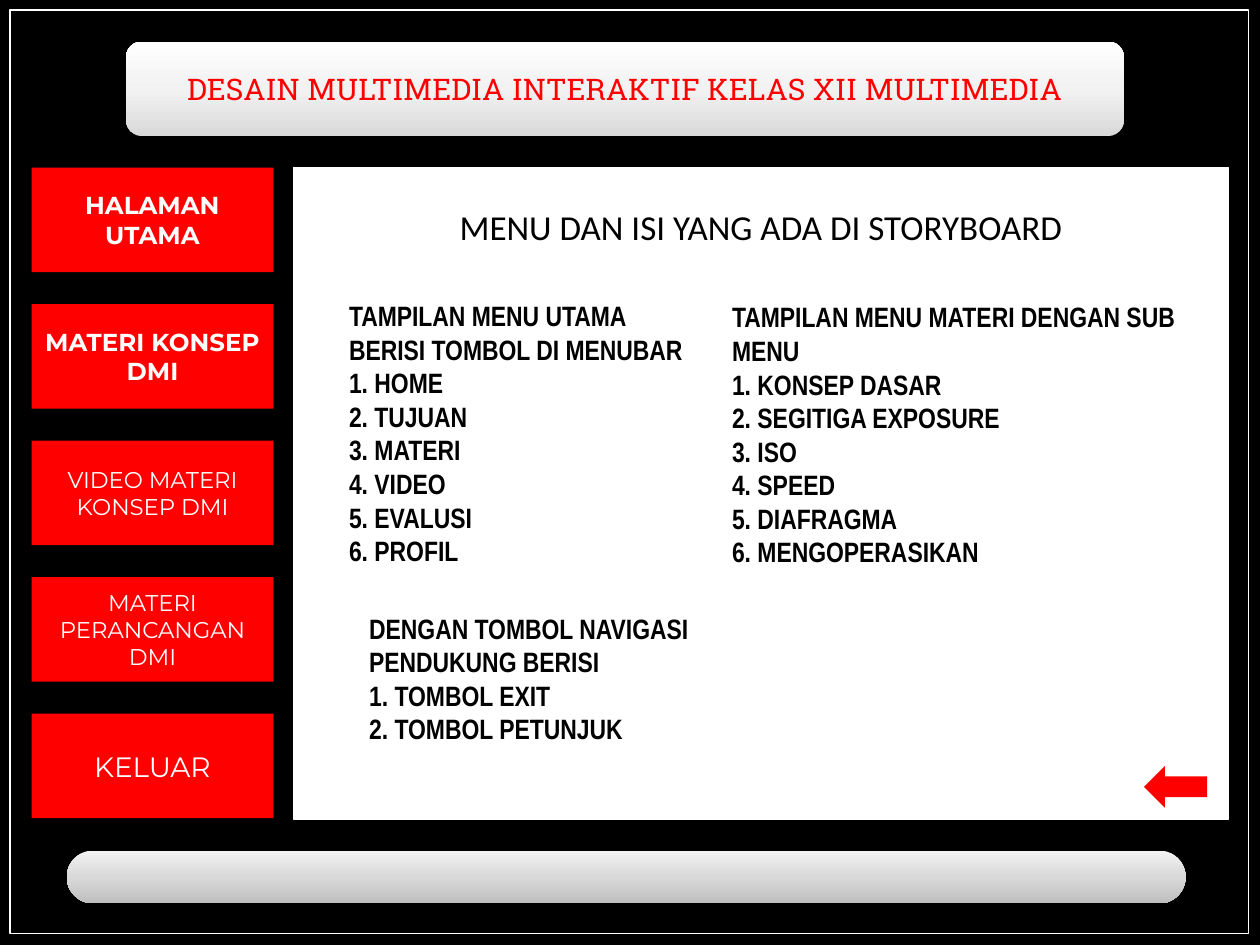
from copy import deepcopy
from pptx import Presentation
from pptx.dml.color import RGBColor
from pptx.enum import shapes, text
from pptx.util import Inches, Pt

# Content
HEAD = "DESAIN MULTIMEDIA INTERAKTIF KELAS XII MULTIMEDIA"
TITLE = "MENU DAN ISI YANG ADA DI STORYBOARD"
MENU = [  # lines, size, bold
    (["HALAMAN", "UTAMA"], 14, True),
    (["MATERI KONSEP DMI"], 14, True),
    (["VIDEO MATERI KONSEP DMI"], 13, False),
    (["MATERI PERANCANGAN DMI"], 13, False),
    (["KELUAR"], 16, False),
]
LISTS = [  # box, heading lines, numbered items
    ((2.67, 2.32, 3.42, 2.26),
     ["TAMPILAN MENU UTAMA", "BERISI TOMBOL DI MENUBAR"],
     ["HOME", "TUJUAN", "MATERI", "VIDEO", "EVALUSI", "PROFIL"]),
    ((2.83, 4.8, 3.5, 1.18),
     ["DENGAN TOMBOL NAVIGASI PENDUKUNG BERISI"],
     ["TOMBOL EXIT", "TOMBOL PETUNJUK"]),
    ((5.71, 2.33, 4.21, 2.26),
     ["TAMPILAN MENU MATERI DENGAN SUB MENU"],
     ["KONSEP DASAR", "SEGITIGA EXPOSURE", "ISO", "SPEED", "DIAFRAGMA",
      "MENGOPERASIKAN"]),
]
THEME = dict(
    red="FF0000", white="FFFFFF", black="000000",
    head_grad=["D9D9D9", "F2F2F2", "FFFFFF"],
    foot_grad=["F2F2F2", "D9D9D9", "BFBFBF"],
    head=("Roboto Slab", 17), title=("Calibri", 20),
    body=("Arial Narrow", 16), menu="Montserrat",
)
ROW, STEP, TOP = 0.83, 13 / 12, 1.33  # menu button height, pitch, start


def rgb(name):
    return RGBColor.from_string(THEME.get(name, name))


def place(shape, box):
    shape.left, shape.top, shape.width, shape.height = map(Inches, box)


def write(shape, lines, font, size, color, bold=False, center=True, mid=True):
    frame = shape.text_frame
    frame.text = "\n".join(lines)
    frame.word_wrap = True
    frame.auto_size = text.MSO_AUTO_SIZE.NONE
    frame.vertical_anchor = (text.MSO_ANCHOR.MIDDLE if mid
                             else text.MSO_ANCHOR.TOP)
    for par in frame.paragraphs:
        par.alignment = text.PP_ALIGN.CENTER if center else text.PP_ALIGN.LEFT
        par.line_spacing = 1.0
        par.space_before = par.space_after = Pt(0)
        par.font.name, par.font.size = font, Pt(size)
        par.font.bold, par.font.color.rgb = bold, rgb(color)


def draw(kind, box, fill=None, line=None):
    shape = slide.shapes.add_shape(kind, *map(Inches, box))
    shape.shadow.inherit = False
    if fill:
        shape.fill.solid()
        shape.fill.fore_color.rgb = rgb(fill)
    else:
        shape.fill.background()
    if line:
        shape.line.color.rgb = rgb(line)
        shape.line.width = Pt(0.85)
    else:
        shape.line.fill.background()
    return shape


def shade(shape, colors, angle):
    shape.fill.gradient()
    shape.fill.gradient_angle = angle
    first = shape.fill._fill._gradFill.gsLst[0]
    first.addnext(deepcopy(first))
    for i, (stop, color) in enumerate(zip(shape.fill.gradient_stops, colors)):
        stop.position = i / 2
        stop.color.rgb = rgb(color)


deck = Presentation()
deck.slide_width, deck.slide_height = Inches(10), Inches(7.5)
slide = deck.slides.add_slide(deck.slide_layouts[4])
slide.background.fill.solid()
slide.background.fill.fore_color.rgb = rgb("black")
title, *bodies = slide.placeholders
kind = shapes.MSO_SHAPE

# Frame and header
draw(kind.RECTANGLE, (0.08, 0.08, 9.83, 7.33), line="white")
head = draw(kind.ROUNDED_RECTANGLE, (1, 0.33, 7.92, 0.75))
shade(head, THEME["head_grad"], 90)
write(head, [HEAD], *THEME["head"], "red")

# Menu buttons
for i, (lines, size, bold) in enumerate(MENU):
    key = draw(kind.RECTANGLE, (0.25, TOP + i * STEP, 1.92, ROW), "red")
    write(key, lines, THEME["menu"], size, "white", bold)

# Footer, panel and back arrow
foot = draw(kind.ROUNDED_RECTANGLE, (0.53, 6.75, 8.88, 0.42))
foot.adjustments[0] = 0.5
shade(foot, THEME["foot_grad"], 270)
draw(kind.RECTANGLE, (2.33, TOP, 7.42, 5.17), "white", "white")
draw(kind.LEFT_ARROW, (9.08, 6.08, 0.5, 0.33), "red")

# Lists and title, brought in front of the panel
tree = slide.shapes._spTree
for body, (box, lead, items) in zip(bodies, LISTS):
    place(body, box)
    lines = lead + [f"{n}. {item}" for n, item in enumerate(items, 1)]
    write(body, lines, *THEME["body"], "black", True, False, False)
    for par in body.text_frame.paragraphs:
        props = par._p.get_or_add_pPr()
        props.set("marL", "0")
        props.set("indent", "0")
        bare = props.makeelement(
            "{http://schemas.openxmlformats.org/drawingml/2006/main}buNone")
        props.insert_element_before(bare, "a:tabLst", "a:defRPr", "a:extLst")
    tree.append(body._element)
for spare in bodies[len(LISTS):]:
    tree.remove(spare._element)
place(title, (2.58, 1.58, 6.92, 0.44))
write(title, [TITLE], *THEME["title"], "black", mid=False)
tree.append(title._element)

deck.save("out.pptx")
